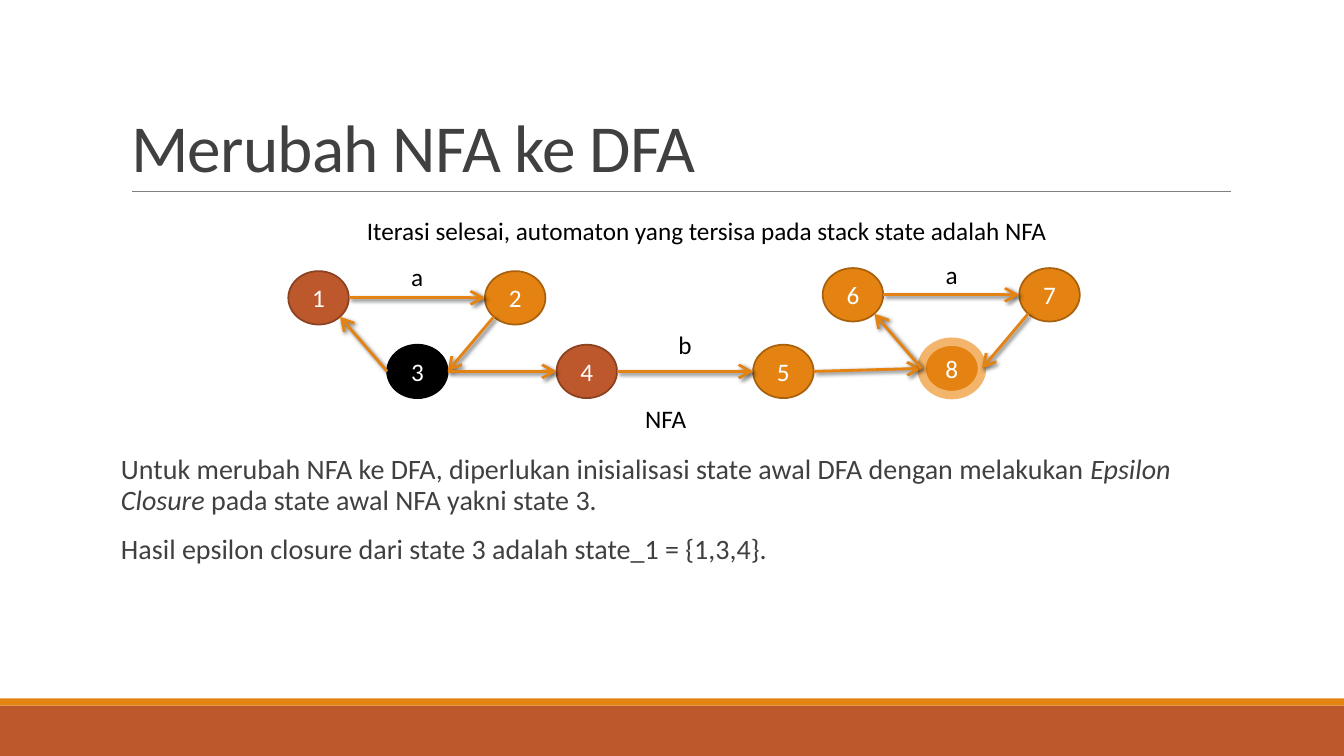
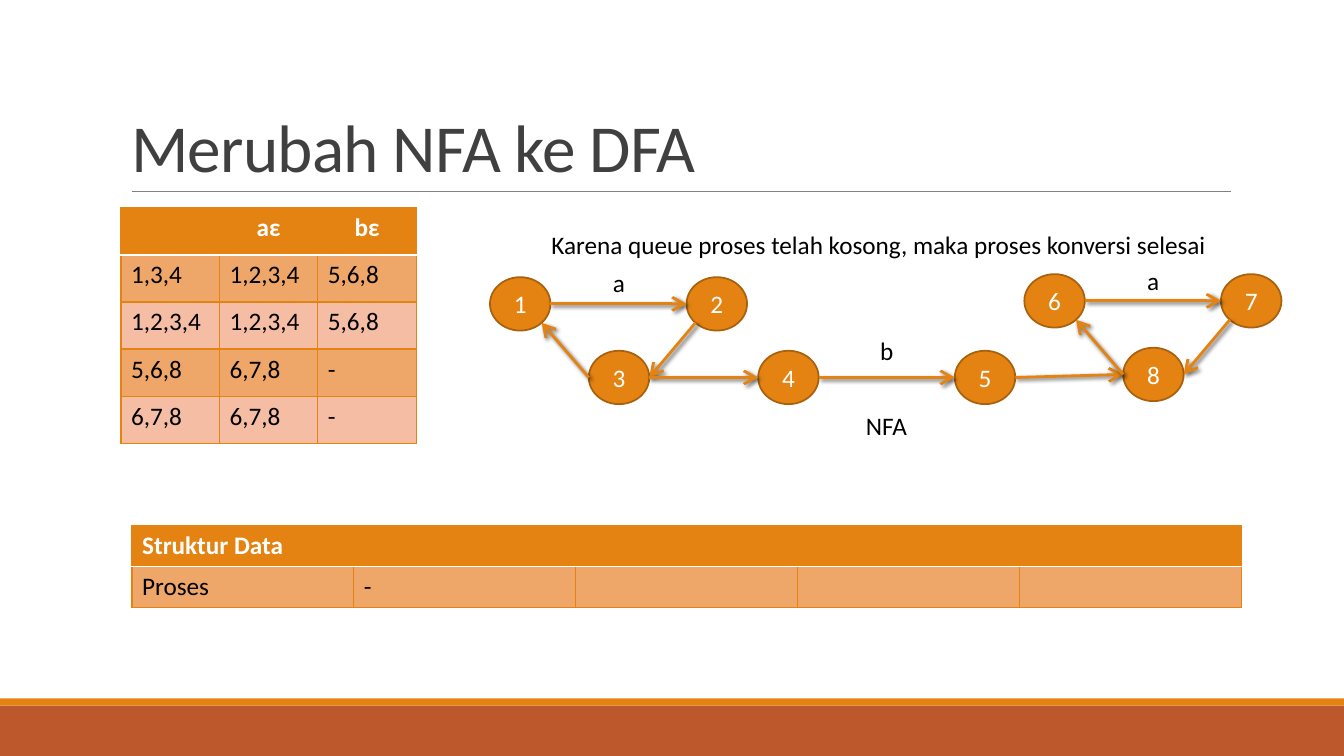
from dataclasses import dataclass
from math import sqrt

from pptx import Presentation
from pptx.dml.color import RGBColor
from pptx.enum import shapes, text
from pptx.oxml import parse_xml
from pptx.oxml.ns import nsdecls
from pptx.oxml.xmlchemy import OxmlElement
from pptx.util import Inches, Pt


@dataclass(frozen=True)
class Theme:
    font: str = "Calibri"
    title_size: int = 48
    body_size: int = 20
    text_size: int = 18
    white: str = "FFFFFF"
    black: str = "000000"
    title: str = "404040"
    rule: str = "808080"
    orange: str = "E48312"
    orange_edge: str = "A9610D"
    halo: str = "F3B56C"
    rust: str = "BD582C"
    rust_edge: str = "8C4121"
    bands: tuple = ("EEA669", "F5BDA4")


THEME = Theme()

# Node looks: fill, outline, outline width
PLAIN = (THEME.orange, THEME.orange_edge, 1.25)
REACHED = (THEME.rust, THEME.rust_edge, 1.25)
START = (THEME.black, THEME.black, 1.25)
FINAL = (THEME.orange, THEME.halo, 6)

NODE_WIDTH, NODE_HEIGHT = 0.6, 0.53
NODES = {
    1: (0, 0.03), 2: (1.95, 0.03), 3: (0.98, 0.76), 4: (2.66, 0.76),
    5: (4.61, 0.76), 6: (5.3, 0), 7: (7.25, 0), 8: (6.28, 0.73),
}

# Connection sites of an ellipse, with their place as a share of its size
LEFT, LOWER_LEFT, LOWER_RIGHT, RIGHT = 2, 3, 5, 6
NEAR, FAR = (1 - sqrt(0.5)) / 2, (1 + sqrt(0.5)) / 2
SITES = {LEFT: (0, 0.5), LOWER_LEFT: (NEAR, FAR), LOWER_RIGHT: (FAR, FAR), RIGHT: (1, 0.5)}

EDGES = [
    (1, RIGHT, 2, LEFT), (2, LOWER_LEFT, 3, RIGHT), (3, LEFT, 1, LOWER_RIGHT),
    (3, RIGHT, 4, LEFT), (4, RIGHT, 5, LEFT), (5, RIGHT, 8, LEFT),
    (6, RIGHT, 7, LEFT), (7, LOWER_LEFT, 8, RIGHT), (8, LEFT, 6, LOWER_RIGHT),
]
EDGE_LABELS = [("a", 1.12, -0.12, 0.32), ("b", 3.77, 0.56, 0.34), ("a", 6.42, -0.14, 0.32)]


def set_values(target, values):
    for name, value in values.items():
        setattr(target, name, value)


def box(left, top, width, height):
    return dict(left=Inches(left), top=Inches(top), width=Inches(width), height=Inches(height))


class Deck:
    def __init__(self, theme):
        self.theme = theme
        self.presentation = Presentation()
        set_values(self.presentation, dict(slide_width=Inches(13.33), slide_height=Inches(7.5)))
        self.slide = None

    def new_slide(self, layout_index, title):
        layout = self.presentation.slide_layouts[layout_index]
        self.slide = self.presentation.slides.add_slide(layout)
        theme = self.theme
        self.shape(shapes.MSO_SHAPE.RECTANGLE, (0, 7, 13.33, 0.5), theme.rust)
        self.shape(shapes.MSO_SHAPE.RECTANGLE, (0, 6.93, 13.33, 0.07), theme.orange)
        self.line((1.31, 1.9), (12.21, 1.9), theme.rule, 0.5)

        placeholder = self.slide.shapes.title
        set_values(placeholder, box(1.2, 0.31, 11, 1.59))
        set_values(placeholder.text_frame, dict(
            vertical_anchor=text.MSO_ANCHOR.BOTTOM, auto_size=text.MSO_AUTO_SIZE.NONE))
        paragraph = placeholder.text_frame.paragraphs[0]
        set_values(paragraph, dict(alignment=text.PP_ALIGN.LEFT, line_spacing=0.85))
        run = self.run(paragraph, title, theme.title, theme.title_size)
        run.font._element.set("spc", "-50")

    def run(self, paragraph, words, color, size=None, bold=False, italic=False):
        run = paragraph.add_run()
        run.text = words
        set_values(run.font, dict(name=self.theme.font, size=Pt(size or self.theme.text_size),
                                  bold=bold, italic=italic))
        run.font.color.rgb = RGBColor.from_string(color)
        return run

    def body(self, place, paragraphs):
        """Fill the body placeholder; each paragraph is a list of (words, italic)."""
        placeholder = self.slide.placeholders[1]
        set_values(placeholder, box(*place))
        frame = placeholder.text_frame
        set_values(frame, dict(margin_left=0, margin_right=0,
                               auto_size=text.MSO_AUTO_SIZE.NONE))
        for index, runs in enumerate(paragraphs):
            paragraph = frame.add_paragraph() if index else frame.paragraphs[0]
            set_values(paragraph, dict(line_spacing=0.9, space_before=Pt(12), space_after=Pt(2)))
            properties = paragraph._p.get_or_add_pPr()
            properties.set("marL", "0")
            properties.set("indent", "0")
            properties.append(OxmlElement("a:buNone"))
            for words, italic in runs:
                self.run(paragraph, words, self.theme.title, self.theme.body_size, italic=italic)

    def shape(self, kind, place, fill, outline=None, width=0):
        shape = self.slide.shapes.add_shape(kind, *box(*place).values())
        shape.shadow.inherit = False
        shape.fill.solid()
        shape.fill.fore_color.rgb = RGBColor.from_string(fill)
        if outline:
            shape.line.color.rgb = RGBColor.from_string(outline)
            shape.line.width = Pt(width)
        else:
            shape.line.fill.background()
        return shape

    def node(self, name, left, top, look):
        shape = self.shape(shapes.MSO_SHAPE.OVAL, (left, top, NODE_WIDTH, NODE_HEIGHT), *look)
        shape.text_frame.vertical_anchor = text.MSO_ANCHOR.MIDDLE
        paragraph = shape.text_frame.paragraphs[0]
        paragraph.alignment = text.PP_ALIGN.CENTER
        self.run(paragraph, name, self.theme.white)
        return shape

    def line(self, start, end, color, width):
        connector = self.slide.shapes.add_connector(
            shapes.MSO_CONNECTOR.STRAIGHT, *(Inches(value) for value in (*start, *end)))
        connector.line.color.rgb = RGBColor.from_string(color)
        connector.line.width = Pt(width)
        connector._element.spPr.append(OxmlElement("a:effectLst"))
        return connector

    def arrow(self, start, end, joints):
        """Draw a shadowed arrow glued to two (shape, site) joints."""
        connector = self.line(start, end, self.theme.orange, 2)
        connector.line._get_or_add_ln().append(
            parse_xml(f'<a:tailEnd {nsdecls("a")} type="arrow" w="lg" len="lg"/>'))
        connector._element.spPr[-1].append(parse_xml(
            f'<a:outerShdw {nsdecls("a")} blurRad="{Pt(3)}" dist="{Pt(2)}" dir="2700000">'
            f'<a:srgbClr val="{self.theme.black}"><a:alpha val="60000"/></a:srgbClr>'
            '</a:outerShdw>'))
        for tag, (shape, site) in zip(("a:stCxn", "a:endCxn"), joints):
            joint = OxmlElement(tag)
            joint.set("id", str(shape.shape_id))
            joint.set("idx", str(site))
            connector._element.nvCxnSpPr.cNvCxnSpPr.append(joint)

    def label(self, words, left, top, width):
        shape = self.slide.shapes.add_textbox(*box(left, top, width, 0.4).values())
        shape.text_frame.word_wrap = False
        self.run(shape.text_frame.paragraphs[0], words, self.theme.black)

    def automaton(self, left, top, looks=None):
        looks = looks or {}
        nodes = {number: self.node(str(number), left + x, top + y, looks.get(number, PLAIN))
                 for number, (x, y) in NODES.items()}

        def site_point(number, site):
            x, y = NODES[number]
            across, down = SITES[site]
            return left + x + across * NODE_WIDTH, top + y + down * NODE_HEIGHT

        for source, source_site, target, target_site in EDGES:
            self.arrow(site_point(source, source_site), site_point(target, target_site),
                       [(nodes[source], source_site), (nodes[target], target_site)])
        for words, x, y, width in EDGE_LABELS:
            self.label(words, left + x, top + y, width)

    def cell_borders(self, cell, row):
        theme = self.theme
        edges = dict.fromkeys("LRTB", (theme.orange, 1))
        if row < 2:
            edges["B" if row == 0 else "T"] = (theme.white, 1.25)
        for side, (color, width) in edges.items():
            cell._tc.get_or_add_tcPr().append(parse_xml(
                f'<a:ln{side} {nsdecls("a")} w="{Pt(width)}"><a:solidFill>'
                f'<a:srgbClr val="{color}"/></a:solidFill></a:ln{side}>'))

    def table(self, place, rows, header_alignment):
        theme = self.theme
        table = self.slide.shapes.add_table(
            len(rows), len(rows[0]), *box(*place).values()).table
        table.horz_banding = False
        for row, values in enumerate(rows):
            fill = theme.bands[(row - 1) % 2] if row else theme.orange
            for column, words in enumerate(values):
                cell = table.cell(row, column)
                self.cell_borders(cell, row)
                cell.fill.solid()
                cell.fill.fore_color.rgb = RGBColor.from_string(fill)
                if words:
                    paragraph = cell.text_frame.paragraphs[0]
                    paragraph.alignment = text.PP_ALIGN.LEFT if row else header_alignment
                    self.run(paragraph, words, theme.black if row else theme.white, bold=not row)


def main():
    deck = Deck(THEME)
    title = "Merubah NFA ke DFA"

    deck.new_slide(1, title)
    deck.body((1.2, 4.47, 11, 1.95), [
        [("Untuk merubah NFA ke DFA, diperlukan inisialisasi state awal DFA dengan melakukan ", False),
         ("Epsilon Closure ", True),
         ("pada state awal NFA yakni state 3", False),
         (".", True)],
        [("Hasil epsilon closure dari state 3 adalah state_1 = {1,3,4}.", False)],
    ])
    deck.automaton(2.86, 2.66, {1: REACHED, 3: START, 4: REACHED, 8: FINAL})
    deck.label("NFA", 6.3, 3.95, 0.61)
    deck.label("Iterasi selesai, automaton yang tersisa pada stack state adalah NFA", 3.54, 2.09, 7.02)

    deck.new_slide(5, title)
    deck.table((1.31, 5.21, 11, 0.82),
               [["Struktur Data", "", "", "", ""], ["Proses", "-", "", "", ""]],
               text.PP_ALIGN.LEFT)
    deck.automaton(4.86, 2.72)
    deck.label("NFA", 8.49, 4.02, 0.61)
    deck.table((1.2, 2.06, 2.93, 2.34), [
        ["", "aε", "bε"],
        ["1,3,4", "1,2,3,4", "5,6,8"],
        ["1,2,3,4", "1,2,3,4", "5,6,8"],
        ["5,6,8", "6,7,8", "-"],
        ["6,7,8", "6,7,8", "-"],
    ], text.PP_ALIGN.CENTER)
    deck.label("Karena queue proses telah kosong, maka proses konversi selesai", 5.37, 2.23, 6.71)

    deck.presentation.save("out.pptx")


if __name__ == "__main__":
    main()
